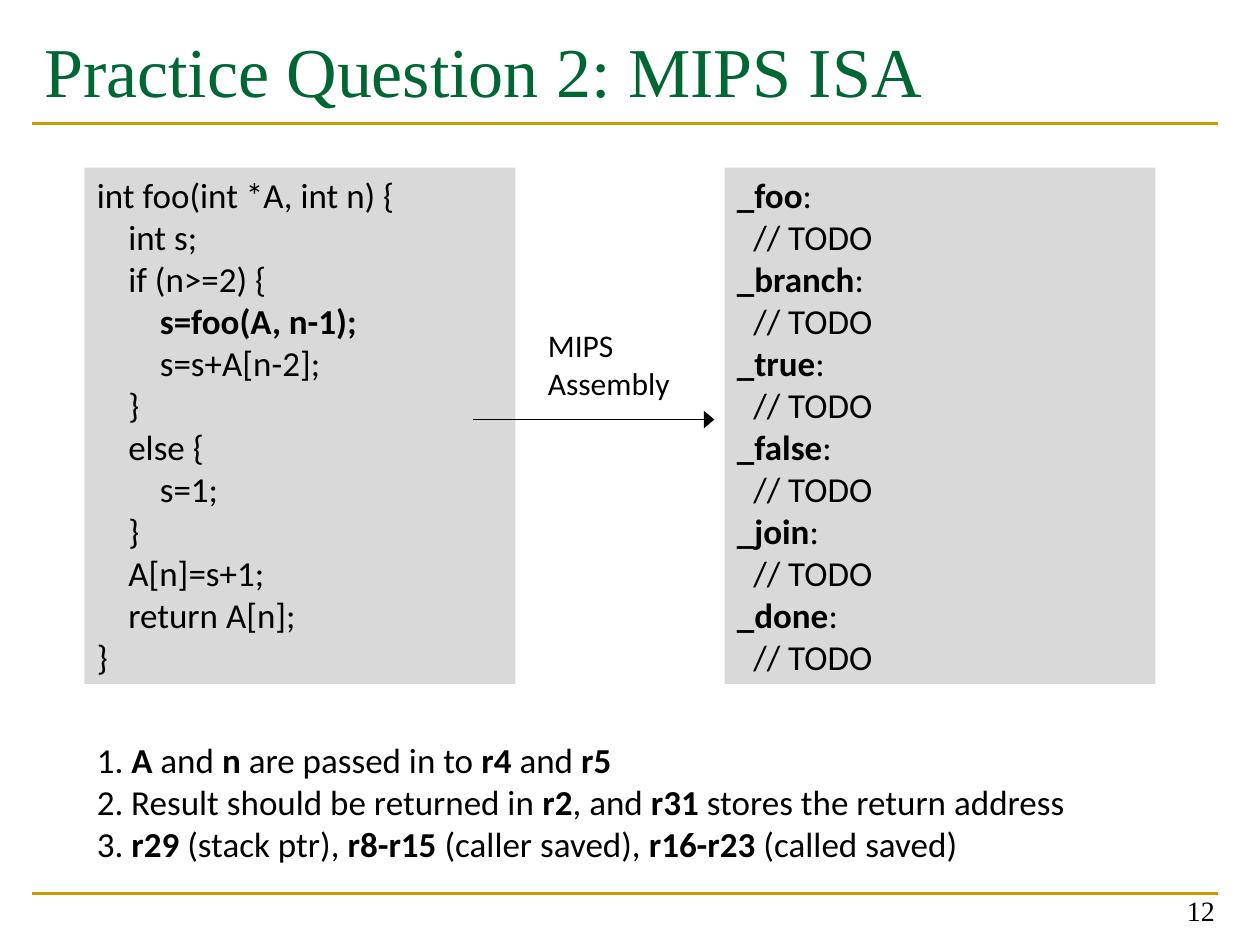
"""Build the MIPS ISA practice question slide."""
import pptx
import pptx.dml.color
import pptx.enum.shapes
import pptx.enum.text
import pptx.oxml.ns
import pptx.util
from lxml import etree

Inches = pptx.util.Inches
PP_ALIGN = pptx.enum.text.PP_ALIGN
ANCHOR = pptx.enum.text.MSO_ANCHOR
AUTO_SIZE = pptx.enum.text.MSO_AUTO_SIZE


def rgb(value):
    """Turn a hex string into a colour."""
    return pptx.dml.color.RGBColor.from_string(value)


def write(tf, lines, size, name="Calibri", color="000000", align=PP_ALIGN.LEFT):
    """Write (indent, text) lines, with bold parts between bars."""
    for i, (indent, text) in enumerate(lines):
        p = tf.paragraphs[0] if i == 0 else tf.add_paragraph()
        p.alignment = align
        if indent:
            p._p.get_or_add_pPr().set("marL", str(Inches(indent)))
        for j, part in enumerate(text.split("|")):
            if part:
                r = p.add_run()
                r.text = part
                fmt = {"size": pptx.util.Pt(size), "name": name, "bold": j % 2 == 1}
                for key, value in fmt.items():
                    setattr(r.font, key, value)
                r.font.color.rgb = rgb(color)


prs = pptx.Presentation()
prs.slide_width, prs.slide_height = Inches(10), Inches(7.5)
s = prs.slides.add_slide(prs.slide_layouts[5])

title = s.shapes.title
frame = {"left": 0.25, "top": 0.17, "width": 9.42, "height": 1.17}
for key, value in frame.items():
    setattr(title, key, Inches(value))
tf = title.text_frame
title_format = {"vertical_anchor": ANCHOR.TOP, "margin_top": Inches(0.05),
                "word_wrap": True, "auto_size": AUTO_SIZE.NONE}
for key, value in title_format.items():
    setattr(tf, key, value)
write(tf, [(0, "Practice Question 2: MIPS ISA")], 40, "Times New Roman", "006633")

source = [(0, "int foo(int *A, int n) {"), (1, "int s;"), (1, "if (n>=2) {"),
          (2, "|s=foo(A, n-1);|"), (2, "s=s+A[n-2];"), (1, "}"), (1, "else {"),
          (2, "s=1;"), (1, "}"), (1, "A[n]=s+1;"), (1, "return A[n];"), (0, "}")]
code = [(level * 0.25, text) for level, text in source]
assembly = []
for label in ["foo", "branch", "true", "false", "join", "done"]:
    assembly += [(0, f"|_{label}|:"), (0.13, "// TODO")]

for left, lines in [(0.67, code), (5.75, assembly)]:
    sp = s.shapes.add_shape(pptx.enum.shapes.MSO_SHAPE.RECTANGLE,
                            Inches(left), Inches(1.33), Inches(3.42), Inches(4.1))
    sp.shadow.inherit = False
    sp.fill.solid()
    sp.fill.fore_color.rgb = rgb("D9D9D9")
    sp.line.fill.background()
    sp.text_frame.vertical_anchor = ANCHOR.TOP
    write(sp.text_frame, lines, 20)

for x1, x2, y, color, width in [(0.25, 9.67, 0.98, "CC9900", 1.5),
                                (0.25, 9.67, 7.09, "CC9900", 1.5),
                                (3.75, 5.67, 3.33, "000000", 0.75)]:
    line = s.shapes.add_connector(pptx.enum.shapes.MSO_CONNECTOR.STRAIGHT,
                                  Inches(x1), Inches(y), Inches(x2), Inches(y))
    line.line.color.rgb = rgb(color)
    line.line.width = pptx.util.Pt(width)
    etree.SubElement(line._element.spPr, pptx.oxml.ns.qn("a:effectLst"))
etree.SubElement(line.line._get_or_add_ln(), pptx.oxml.ns.qn("a:tailEnd"),
                 type="triangle", w="lg", len="med")

notes = [(0, "1. |A| and |n| are passed in to |r4| and |r5|"),
         (0, "2. Result should be returned in |r2|, and |r31| stores the return address"),
         (0, "3. |r29| (stack ptr), |r8-r15| (caller saved), |r16-r23| (called saved)")]
boxes = [
    ((4.25, 2.54, 1.25, 0.7), [(0, "MIPS"), (0, "Assembly")], {"size": 18},
     {"word_wrap": True}),
    ((0.67, 5.81, 8.5, 1.1), notes, {"size": 20}, {"word_wrap": True}),
    ((7.41, 6.91, 2.33, 0.5), [(0, "12")],
     {"size": 16, "name": "Times New Roman", "align": PP_ALIGN.RIGHT},
     {"word_wrap": True, "vertical_anchor": ANCHOR.BOTTOM}),
]
for place, lines, text_format, frame_format in boxes:
    tf = s.shapes.add_textbox(*map(Inches, place)).text_frame
    for key, value in frame_format.items():
        setattr(tf, key, value)
    write(tf, lines, **text_format)

prs.save("out.pptx")
